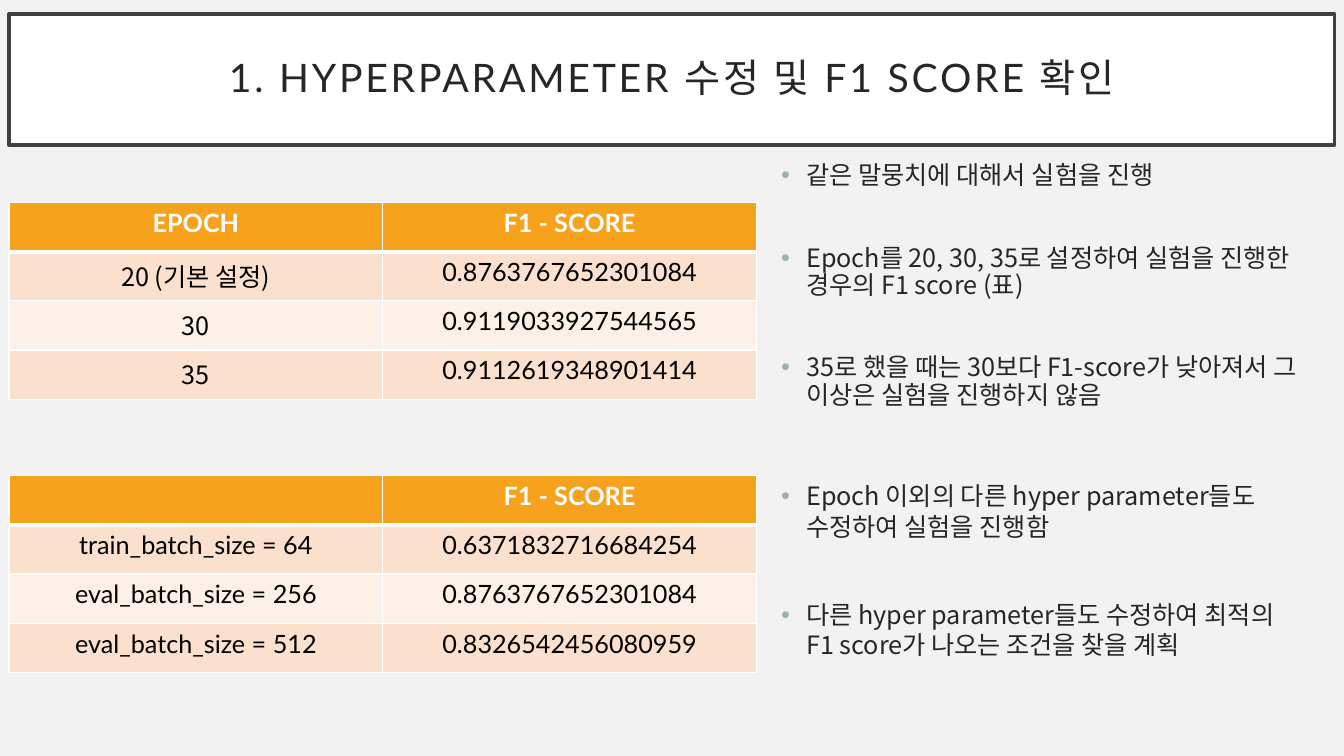
from lxml.etree import SubElement
from pptx import Presentation
from pptx.dml.color import RGBColor
from pptx.enum.shapes import MSO_SHAPE
from pptx.enum.text import MSO_ANCHOR, PP_ALIGN
from pptx.oxml.ns import qn
from pptx.util import Pt

TITLE = "1. HYPERPARAMETER\u00a0수정 및 F1 SCORE 확인"
EPOCH_ROWS = [
    ("EPOCH", "F1 - SCORE"),
    ("20 (기본 설정)", "0.8763767652301084"),
    ("30", "0.9119033927544565"),
    ("35", "0.9112619348901414"),
]
BATCH_ROWS = [
    ("", "F1 - SCORE"),
    ("train_batch_size = 64", "0.6371832716684254"),
    ("eval_batch_size = 256", "0.8763767652301084"),
    ("eval_batch_size = 512", "0.8326542456080959"),
]
EPOCH_NOTES = [
    "같은 말뭉치에 대해서 실험을 진행",
    "Epoch를 20, 30, 35로 설정하여 실험을 진행한 경우의 F1 score (표)",
    "35로 했을 때는 30보다 F1-score가 낮아져서 그 이상은 실험을 진행하지 않음",
]
BATCH_NOTES = [
    "Epoch 이외의 다른 hyper parameter들도 수정하여 실험을 진행함",
    "다른 hyper parameter들도 수정하여 최적의 F1 score가 나오는 조건을 찾을 계획",
]

LATIN, KOREAN = "Lato", "Noto Sans CJK KR"
WHITE = RGBColor(0xFF, 0xFF, 0xFF)
BLACK = RGBColor(0, 0, 0)
BACKGROUND = RGBColor(0xF2, 0xF2, 0xF2)
FRAME = RGBColor(0x40, 0x40, 0x40)
INK = RGBColor(0x26, 0x26, 0x26)
BULLET = RGBColor(0x9B, 0xAF, 0xB5)
HEADER = RGBColor(0xF6, 0xA2, 0x1D)
BANDS = [RGBColor(0xFD, 0xF0, 0xE8), RGBColor(0xFB, 0xE0, 0xCD)]

LEFT = 6.5
COLUMN_WIDTH, ROW_HEIGHT = 266.9, 35.1
NOTES_LEFT, NOTES_WIDTH = 550.8, 383
TEXT_SIZE, LINE_FACTOR, NOTE_SPACE = 18, 1.2, 10


def style_font(paragraph, latin, size, color, bold=False):
    font = paragraph.font
    font.name, font.size, font.bold = latin, Pt(size), bold
    font.color.rgb = color
    for run in paragraph.runs:
        properties = run._r.get_or_add_rPr()
        SubElement(properties, qn("a:latin"), typeface=latin)
        SubElement(properties, qn("a:ea"), typeface=KOREAN)


def add_title(slide):
    shape = slide.shapes.add_shape(MSO_SHAPE.RECTANGLE, Pt(LEFT), Pt(10), Pt(946.8), Pt(93.6))
    shape.shadow.inherit = False
    shape.fill.solid()
    shape.fill.fore_color.rgb = WHITE
    shape.line.color.rgb = FRAME
    shape.line.width = Pt(2.5)
    frame = shape.text_frame
    frame.word_wrap = True
    frame.vertical_anchor = MSO_ANCHOR.MIDDLE
    frame.margin_left = frame.margin_right = frame.margin_top = frame.margin_bottom = Pt(14.4)
    paragraph = frame.paragraphs[0]
    paragraph.text = TITLE
    paragraph.alignment = PP_ALIGN.CENTER
    paragraph.line_spacing = 0.9
    style_font(paragraph, LATIN, 28, INK)
    paragraph.runs[0]._r.get_or_add_rPr().set("spc", "200")


def set_borders(cell, bottom_width):
    properties = cell._tc.get_or_add_tcPr()
    widths = {"a:lnL": 1, "a:lnR": 1, "a:lnT": 1, "a:lnB": bottom_width}
    for position, (tag, width) in enumerate(widths.items()):
        line = properties.makeelement(qn(tag), {"w": str(Pt(width))})
        fill = SubElement(line, qn("a:solidFill"))
        SubElement(fill, qn("a:srgbClr"), val=str(WHITE))
        properties.insert(position, line)


def add_score_table(slide, rows, top):
    columns = len(rows[0])
    table = slide.shapes.add_table(
        len(rows), columns, Pt(LEFT), Pt(top),
        Pt(COLUMN_WIDTH * columns), Pt(ROW_HEIGHT * len(rows))).table
    for column in table.columns:
        column.width = Pt(COLUMN_WIDTH)
    for row_index, row in enumerate(rows):
        table.rows[row_index].height = Pt(ROW_HEIGHT)
        is_header = row_index == 0
        for column_index, text in enumerate(row):
            cell = table.cell(row_index, column_index)
            cell.fill.solid()
            cell.fill.fore_color.rgb = HEADER if is_header else BANDS[row_index % 2]
            set_borders(cell, 3 if is_header else 1)
            paragraph = cell.text_frame.paragraphs[0]
            paragraph.text = text
            paragraph.alignment = PP_ALIGN.CENTER
            is_epoch = rows is EPOCH_ROWS and column_index == 0 and not is_header
            style_font(paragraph, KOREAN if is_epoch else LATIN, TEXT_SIZE,
                       WHITE if is_header else BLACK, is_header)


def add_notes(slide, notes, top, height, line_spacing):
    """Add bullets separated by the height of one empty line."""
    box = slide.shapes.add_textbox(Pt(NOTES_LEFT), Pt(top), Pt(NOTES_WIDTH), Pt(height))
    frame = box.text_frame
    frame.word_wrap = True
    gap = 2 * NOTE_SPACE + TEXT_SIZE * LINE_FACTOR * line_spacing
    for index, note in enumerate(notes):
        paragraph = frame.paragraphs[0] if index == 0 else frame.add_paragraph()
        paragraph.text = note
        paragraph.line_spacing = line_spacing
        paragraph.space_before = Pt(round(gap, 1) if index else NOTE_SPACE)
        style_font(paragraph, KOREAN, TEXT_SIZE, INK)
        properties = paragraph._p.get_or_add_pPr()
        properties.set("marL", str(Pt(18)))
        properties.set("indent", str(Pt(-18)))
        bullet_color = properties.makeelement(qn("a:buClr"), {})
        SubElement(bullet_color, qn("a:srgbClr"), val=str(BULLET))
        bullet_font = properties.makeelement(qn("a:buFont"), {"typeface": "Arial"})
        bullet = properties.makeelement(qn("a:buChar"), {"char": "•"})
        default_run = properties.find(qn("a:defRPr"))
        for element in (bullet_color, bullet_font, bullet):
            default_run.addprevious(element)


def main():
    presentation = Presentation()
    presentation.slide_width, presentation.slide_height = Pt(960), Pt(540)
    slide = presentation.slides.add_slide(presentation.slide_layouts[6])
    slide.background.fill.solid()
    slide.background.fill.fore_color.rgb = BACKGROUND
    add_title(slide)
    add_notes(slide, EPOCH_NOTES, 113, 190, 0.9)
    add_score_table(slide, BATCH_ROWS, 339.8)
    add_score_table(slide, EPOCH_ROWS, 144.7)
    add_notes(slide, BATCH_NOTES, 339.8, 165.6, 1)
    presentation.save("out.pptx")


if __name__ == "__main__":
    main()
